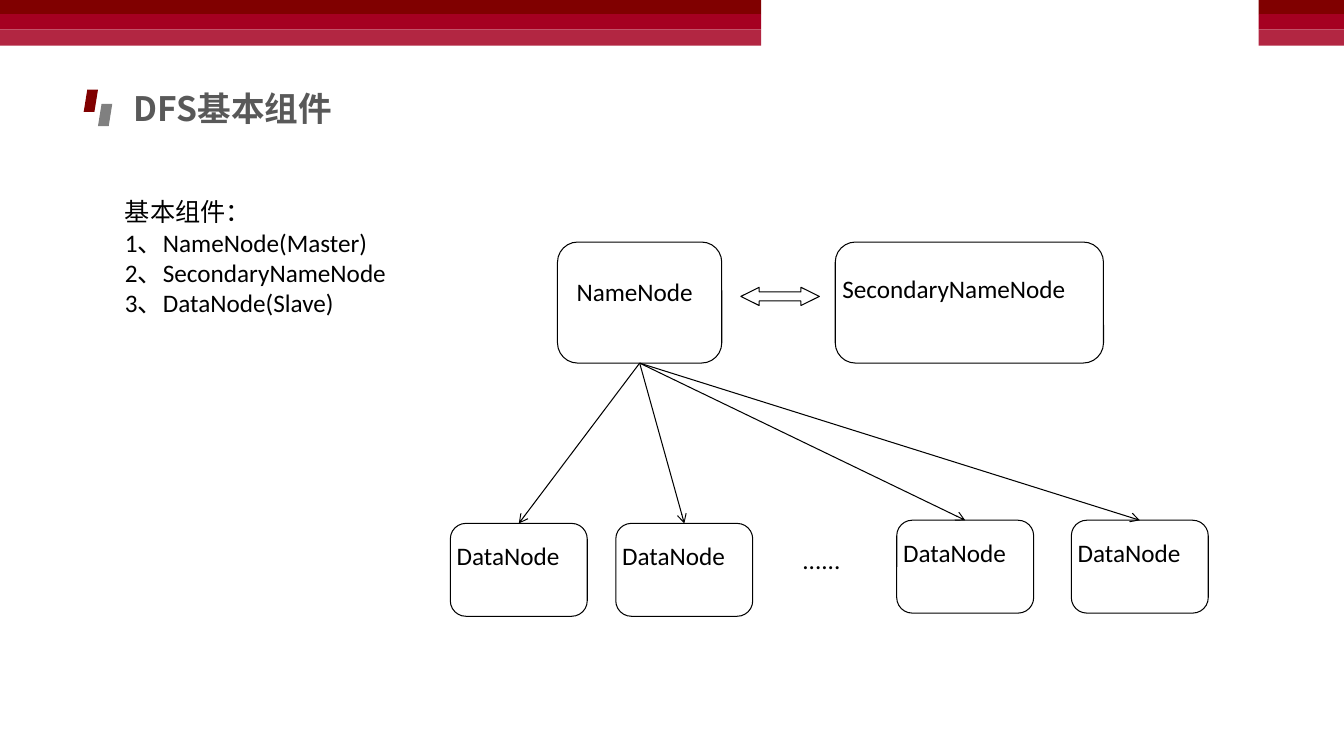
from lxml import etree
from pptx import Presentation
from pptx import util as u
from pptx.dml.color import RGBColor
from pptx.enum import shapes, text
from pptx.oxml.ns import qn

CJK = "Noto Sans CJK SC"
SHAPE = shapes.MSO_SHAPE
DARK_RED, GRAY, BLACK, WHITE = "800000", "808080", "000000", "FFFFFF"
BODY = {"size": u.Pt(18), "name": "Calibri", "bold": False}
HEADING = {"size": u.Pt(24), "name": CJK, "bold": True}


def rgb(value):
    """Turn a hex string into a colour."""
    return RGBColor.from_string(value)


def cm(*values):
    """Turn numbers into lengths in centimetres."""
    return [u.Cm(v) for v in values]


def add_shape(slide, kind, box, fill, line=None, adj=()):
    """Add a flat preset shape, with a thin outline if a line colour is given."""
    sp = slide.shapes.add_shape(kind, *cm(*box))
    sp.shadow.inherit = False
    sp.fill.solid()
    sp.fill.fore_color.rgb = rgb(fill)
    if line:
        sp.line.color.rgb = rgb(line)
        sp.line.width = u.Pt(0.75)
    else:
        sp.line.fill.background()
    for i, value in enumerate(adj):
        sp.adjustments[i] = value
    return sp


def write(sp, lines, fmt=BODY, color=BLACK, inset=None, anchor=text.MSO_ANCHOR.TOP):
    """Write left-aligned paragraphs into a shape."""
    tf = sp.text_frame
    frame = {"word_wrap": True, "auto_size": text.MSO_AUTO_SIZE.NONE,
             "vertical_anchor": anchor}
    if inset is not None:
        frame.update({f"margin_{side}": u.Cm(inset)
                      for side in ("left", "top", "right", "bottom")})
    for key, value in frame.items():
        setattr(tf, key, value)
    for i, line in enumerate(lines):
        p = tf.add_paragraph() if i else tf.paragraphs[0]
        p.alignment = text.PP_ALIGN.LEFT
        r = p.add_run()
        r.text = line
        for key, value in fmt.items():
            setattr(r.font, key, value)
        r.font.color.rgb = rgb(color)
        etree.SubElement(r.font._element, qn("a:ea")).set("typeface", CJK)


def add_bands(slide, left, width):
    """Stack the three red bands along the top edge."""
    top = 0
    for height, color in ((0.36, DARK_RED), (0.38, "A50021"), (0.41, "B22642")):
        add_shape(slide, SHAPE.RECTANGLE, (left, top, width, height), color)
        top += height


def add_heading(slide, left, top, title):
    """Place the two slanted marks and the title beside them."""
    for step, color in enumerate((DARK_RED, GRAY)):
        box = (left + 0.36 * step, top + 0.36 * step, 0.36, 0.56)
        add_shape(slide, SHAPE.PARALLELOGRAM, box, color)
    sp = slide.shapes.title
    sp.left, sp.top, sp.width, sp.height = cm(left + 1.01, top - 0.18, 14.83, 1.27)
    write(sp, [title], HEADING, "595959", anchor=text.MSO_ANCHOR.MIDDLE)


def add_list(slide, box, lines):
    """Place the list of components."""
    write(slide.shapes.add_textbox(*cm(*box)), lines)


def add_node(slide, box, name, dx, dy, label_width):
    """Draw a rounded node with its label and return the node."""
    node = add_shape(slide, SHAPE.ROUNDED_RECTANGLE, box, WHITE, BLACK, [0.167])
    label_box = (box[0] + dx, box[1] + dy, label_width, 1.19)
    write(add_shape(slide, SHAPE.RECTANGLE, label_box, WHITE), [name], inset=0)
    return node


def add_arrow(slide, start, end):
    """Connect the bottom of one node to the top of another."""
    arrow = slide.shapes.add_connector(shapes.MSO_CONNECTOR.STRAIGHT, 0, 0, 0, 0)
    arrow.begin_connect(start, 2)
    arrow.end_connect(end, 0)
    arrow.line.color.rgb = rgb(BLACK)
    arrow.line.width = u.Pt(0.75)
    etree.SubElement(arrow.line._get_or_add_ln(), qn("a:tailEnd")).set("type", "arrow")
    etree.SubElement(arrow._element.spPr, qn("a:effectLst"))


def add_diagram(slide, x, y):
    """Draw the name nodes above the row of data nodes."""
    name_node = add_node(slide, (x + 2.7, y, 4.14, 3.05), "NameNode", 0.48, 0.86, 3.43)
    add_node(slide, (x + 9.7, y, 6.76, 3.05), "SecondaryNameNode", 0.18, 0.79, 6.4)
    data_nodes = [add_node(slide, (x + dx, y + dy, 3.45, 2.34), "DataNode", 0.16, 0.43, 3)
                  for dx, dy in ((0, 7.09), (4.17, 7.09), (11.25, 7.01), (15.65, 7.01))]
    add_shape(slide, SHAPE.LEFT_RIGHT_ARROW, (x + 7.32, y + 1.14, 1.98, 0.46),
              WHITE, BLACK, [0.5, 1.01])
    dots = slide.shapes.add_textbox(*cm(x + 8.87, y + 7.62, 1.45, 1.02))
    write(dots, ["......"], inset=0)
    for node in data_nodes:
        add_arrow(slide, name_node, node)


def build():
    """Build the slide and save it."""
    prs = Presentation()
    prs.slide_width, prs.slide_height = cm(33.87, 19.05)
    slide = prs.slides.add_slide(prs.slide_layouts[5])
    add_bands(slide, 0, 19.18)
    add_bands(slide, 31.72, 2.15)
    add_heading(slide, 2.11, 2.26, "DFS基本组件")
    add_list(slide, (2.9, 4.83, 7.09, 3.33),
             ["基本组件：", "1、NameNode(Master)", "2、SecondaryNameNode",
              "3、DataNode(Slave)"])
    add_diagram(slide, 11.35, 6.1)
    prs.save("out.pptx")


build()
